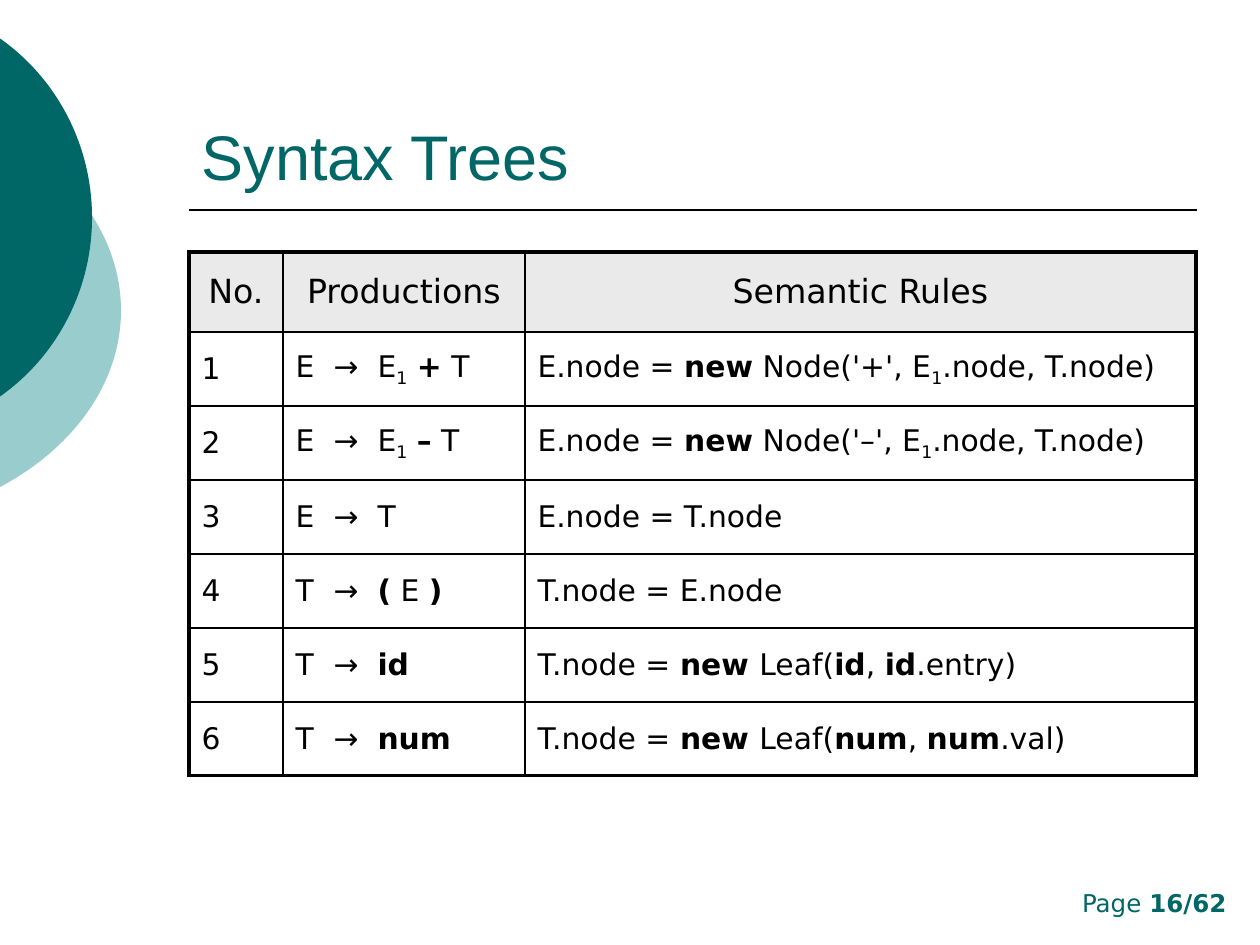
from dataclasses import dataclass

from lxml.etree import SubElement
from pptx import Presentation
from pptx.dml.color import RGBColor
from pptx.enum.shapes import MSO_CONNECTOR, MSO_SHAPE
from pptx.enum.text import MSO_ANCHOR, MSO_AUTO_SIZE, PP_ALIGN
from pptx.oxml.ns import qn
from pptx.util import Pt

EMU_PER_PX = 914400 / 126


@dataclass(frozen=True)
class Theme:
    """Colours, fonts and type sizes of the slide."""
    dark: str = "006666"
    light: str = "99CCCC"
    ink: str = "000000"
    header_fill: str = "EAEAEA"
    title_font: str = "Arial"
    body_font: str = "DejaVu Sans"
    title_size: int = 36
    header_size: int = 19
    body_size: int = 17
    page_size: int = 14
    thin: float = 1
    thick: float = 2.25


THEME = Theme()
COLUMN_WIDTHS = [94, 242, 671]
HEADER_HEIGHT, ROW_HEIGHT = 80, 74
ARROW_TABS = [38, 82]
HEADINGS = ["No.", "Productions", "Semantic Rules"]
RULES = [
    ("E\t→\tE_1_ *+* T", "E.node = *new* Node('+', E_1_.node, T.node)"),
    ("E\t→\tE_1_ *–* T", "E.node = *new* Node('–', E_1_.node, T.node)"),
    ("E\t→\tT", "E.node = T.node"),
    ("T\t→\t*(* E *)*", "T.node = E.node"),
    ("T\t→\t*id*", "T.node = *new *Leaf(*id*, *id*.entry)"),
    ("T\t→\t*num*", "T.node = *new *Leaf(*num*, *num*.val)"),
]


def px(length):
    """Turn px into EMU."""
    return round(length * EMU_PER_PX)


def rgb(colour):
    """Turn a hex string into a colour."""
    return RGBColor.from_string(colour)


def style_font(paragraph, font_name, size, colour):
    """Set the font that all runs of a paragraph share."""
    font = paragraph.font
    font.name, font.size = font_name, Pt(size)
    font.color.rgb = rgb(colour)


def write_marked(paragraph, marked):
    """Write text in which *stars* make bold and _underscores_ make subscript."""
    for bold_index, bold_part in enumerate(marked.split("*")):
        for sub_index, words in enumerate(bold_part.split("_")):
            if not words:
                continue
            run = paragraph.add_run()
            run.text = words
            if bold_index % 2:
                run.font.bold = True
            if sub_index % 2:
                run.font._element.set("baseline", "-25000")


def add_tabs(paragraph, stops):
    """Give a paragraph left tab stops in px."""
    tab_list = SubElement(paragraph._p.get_or_add_pPr(), qn("a:tabLst"))
    for stop in stops:
        SubElement(tab_list, qn("a:tab"), pos=str(px(stop)), algn="l")


def add_disc(slide, left, top, width, height, colour):
    """Place one plain disc."""
    disc = slide.shapes.add_shape(
        MSO_SHAPE.OVAL, px(left), px(top), px(width), px(height))
    disc.shadow.inherit = False
    disc.fill.solid()
    disc.fill.fore_color.rgb = rgb(colour)
    disc.line.fill.background()


def add_decoration(slide):
    """Place the two overlapping discs that the left edge cuts."""
    add_disc(slide, -446, 95, 567, 431, THEME.light)
    add_disc(slide, -334, 0, 426, 435, THEME.dark)


def add_title(slide, left, top, width, height, words):
    """Place the title and the rule below it."""
    title = slide.shapes.title
    title.left, title.top = px(left), px(top)
    title.width, title.height = px(width), px(height)
    frame = title.text_frame
    frame.text = words
    frame.auto_size = MSO_AUTO_SIZE.NONE
    frame.vertical_anchor = MSO_ANCHOR.BOTTOM
    paragraph = frame.paragraphs[0]
    paragraph.alignment = PP_ALIGN.LEFT
    style_font(paragraph, THEME.title_font, THEME.title_size, THEME.dark)
    rule_y = px(top + height + 11)
    rule = slide.shapes.add_connector(
        MSO_CONNECTOR.STRAIGHT, px(left), rule_y, px(left + width), rule_y)
    rule.line.color.rgb = rgb(THEME.ink)
    rule.line.width = Pt(THEME.thin)
    SubElement(rule._element.spPr, qn("a:effectLst"))


def set_borders(cell, outer_sides):
    """Border a cell, thick on the sides that lie on the table's edge."""
    properties = cell._tc.get_or_add_tcPr()
    for index, side in enumerate("LRTB"):
        width = THEME.thick if side in outer_sides else THEME.thin
        border = SubElement(properties, qn(f"a:ln{side}"), w=str(Pt(width)))
        properties.insert(index, border)
        fill = SubElement(border, qn("a:solidFill"))
        SubElement(fill, qn("a:srgbClr"), val=THEME.ink)


def add_rules_table(slide, left, top):
    """Place the table of productions and semantic rules."""
    rows = [HEADINGS] + [(str(n), *rule) for n, rule in enumerate(RULES, 1)]
    heights = [HEADER_HEIGHT] + [ROW_HEIGHT] * len(RULES)
    table = slide.shapes.add_table(
        len(rows), len(HEADINGS), px(left), px(top),
        px(sum(COLUMN_WIDTHS)), px(sum(heights))).table
    table.first_row = table.horz_banding = False
    for column, width in zip(table.columns, COLUMN_WIDTHS):
        column.width = px(width)
    for r, (row, height) in enumerate(zip(rows, heights)):
        table.rows[r].height = px(height)
        for c, words in enumerate(row):
            cell = table.cell(r, c)
            cell.vertical_anchor = MSO_ANCHOR.MIDDLE
            paragraph = cell.text_frame.paragraphs[0]
            if r == 0:
                cell.fill.solid()
                cell.fill.fore_color.rgb = rgb(THEME.header_fill)
                paragraph.alignment = PP_ALIGN.CENTER
            else:
                cell.fill.background()
            edges = {"L": c == 0, "R": c == len(row) - 1,
                     "T": r == 0, "B": r == len(rows) - 1}
            set_borders(cell, [side for side in edges if edges[side]])
            if "\t" in words:
                add_tabs(paragraph, ARROW_TABS)
            write_marked(paragraph, words)
            size = THEME.body_size if r else THEME.header_size
            style_font(paragraph, THEME.body_font, size, THEME.ink)


def add_page_number(slide, left, top, width, height, marked):
    """Place the page count at the lower right."""
    page = slide.shapes.add_textbox(px(left), px(top), px(width), px(height))
    page.text_frame.word_wrap = True
    paragraph = page.text_frame.paragraphs[0]
    paragraph.alignment = PP_ALIGN.RIGHT
    write_marked(paragraph, marked)
    style_font(paragraph, THEME.body_font, THEME.page_size, THEME.dark)


def main():
    """Build the slide and save it."""
    deck = Presentation()
    deck.slide_width, deck.slide_height = px(1260), px(945)
    slide = deck.slides.add_slide(deck.slide_layouts[5])
    add_decoration(slide)
    add_title(slide, 189, 42, 1008, 157, "Syntax Trees")
    add_rules_table(slide, 189, 252)
    add_page_number(slide, 955, 882, 284, 42, "Page *16/62*")
    deck.save("out.pptx")


if __name__ == "__main__":
    main()
